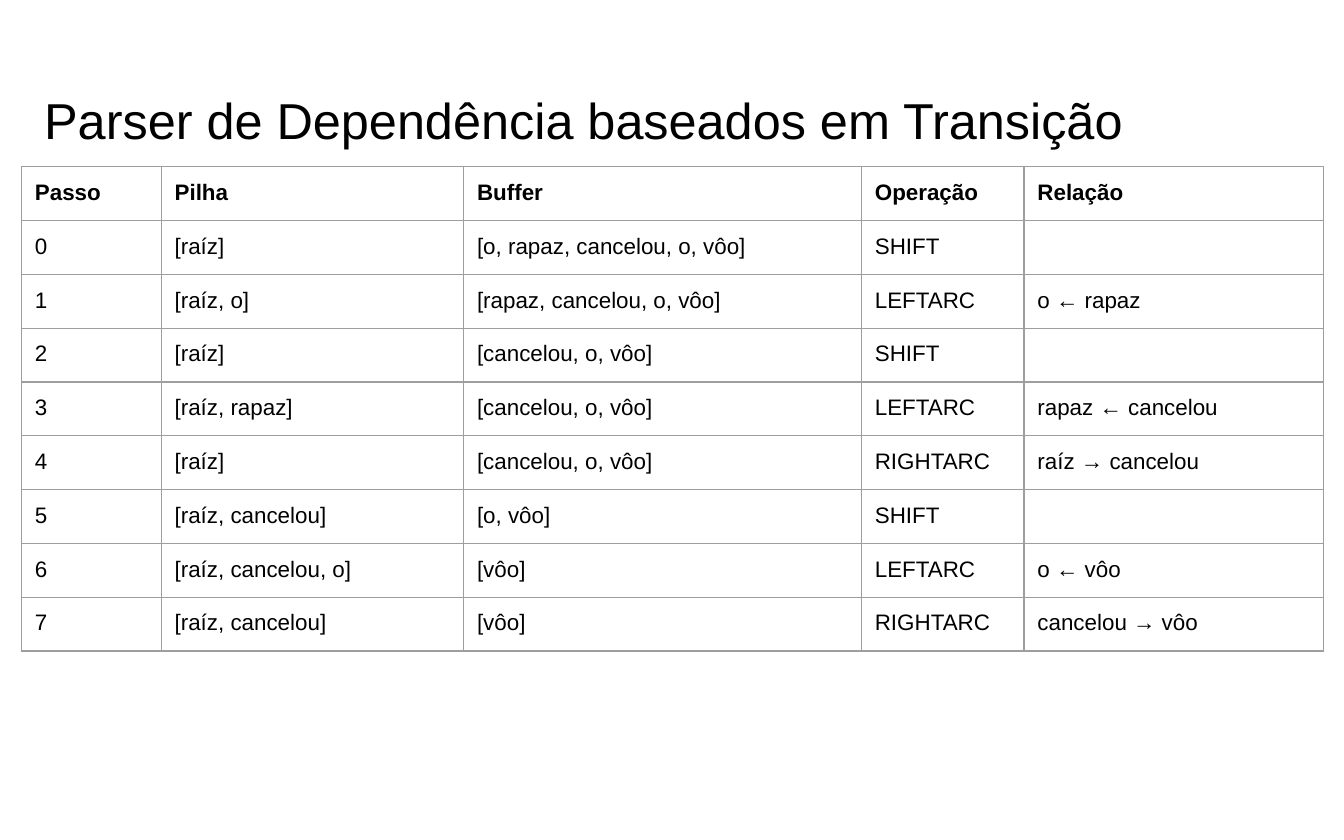
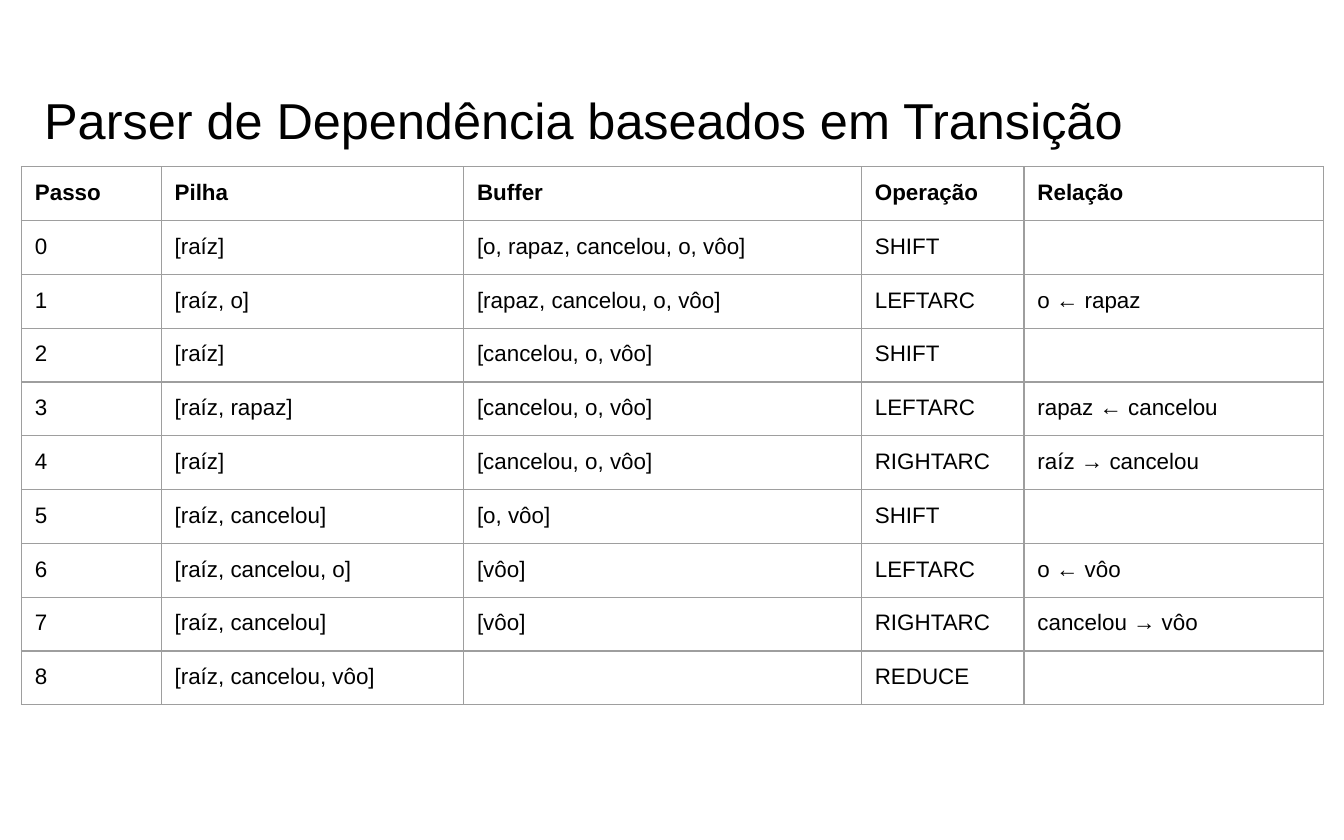
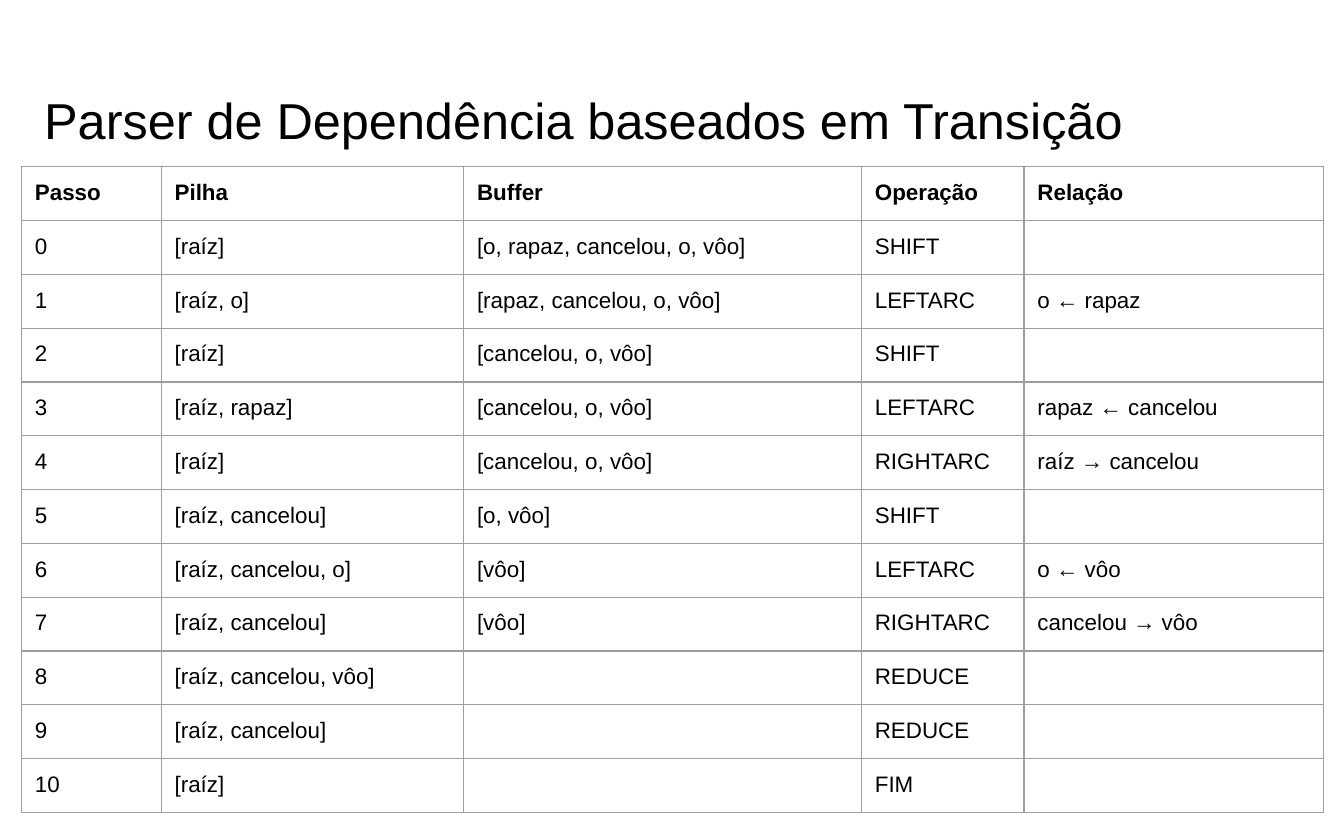
import lxml.etree
import pptx
import pptx.dml.color
import pptx.enum.text
import pptx.oxml.ns
import pptx.util

HUES = {"ink": "000000", "rule": "9E9E9E", "page": "FFFFFF"}
FACE = "Arial"
SIZE = (10, 6.25)
UNIT = 0.1
PAD = pptx.util.Inches(0.1)
PADS = {f"margin_{side}": PAD for side in ("left", "top", "right", "bottom")}
MID = pptx.enum.text.MSO_ANCHOR.MIDDLE

TITLE = "Parser de Dependência baseados em Transição"
HEAD = ("Passo", "Pilha", "Buffer", "Operação", "Relação")
COLS = (10.4, 22.5, 29.6, 12.1, 22.3)
ROW = 2.8
STEPS = (
    ("[raíz]", "[o, rapaz, cancelou, o, vôo]", "SHIFT", ""),
    ("[raíz, o]", "[rapaz, cancelou, o, vôo]", "LEFTARC", "o ← rapaz"),
    ("[raíz]", "[cancelou, o, vôo]", "SHIFT", ""),
    ("[raíz, rapaz]", "[cancelou, o, vôo]", "LEFTARC", "rapaz ← cancelou"),
    ("[raíz]", "[cancelou, o, vôo]", "RIGHTARC", "raíz → cancelou"),
    ("[raíz, cancelou]", "[o, vôo]", "SHIFT", ""),
    ("[raíz, cancelou, o]", "[vôo]", "LEFTARC", "o ← vôo"),
    ("[raíz, cancelou]", "[vôo]", "RIGHTARC", "cancelou → vôo"),
    ("[raíz, cancelou, vôo]", "", "REDUCE", ""),
    ("[raíz, cancelou]", "", "REDUCE", ""),
    ("[raíz]", "", "FIM", ""),
)
COUNTS = (8, 9, 11)
BOXES = {"title": (2.3, 5.4, 93.2, 7), "table": (1.6, 12.4, sum(COLS))}


def span(cells):
    return pptx.util.Inches(cells * UNIT)


def tint(name):
    return pptx.dml.color.RGBColor.from_string(HUES[name])


def apply(item, values):
    for name, value in values.items():
        setattr(item, name, value)


def write(para, text, size, bold=False):
    if text:
        run = para.add_run()
        run.text = text
        apply(run.font, {"name": FACE, "size": pptx.util.Pt(size), "bold": bold})
        run.font.color.rgb = tint("ink")
    else:
        tag = pptx.oxml.ns.qn("a:endParaRPr")
        lxml.etree.SubElement(para._p, tag, sz=str(size * 100))


def edge(cell):
    qn = pptx.oxml.ns.qn
    props = cell._tc.get_or_add_tcPr()
    for side in "LRTB":
        line = lxml.etree.SubElement(
            props, qn(f"a:ln{side}"), w=str(pptx.util.Pt(0.75)))
        fill = lxml.etree.SubElement(line, qn("a:solidFill"))
        lxml.etree.SubElement(fill, qn("a:srgbClr"), val=HUES["rule"])


def title(slide, box):
    frame = slide.shapes.add_textbox(*map(span, box)).text_frame
    apply(frame, {**PADS, "word_wrap": True, "vertical_anchor": MID})
    write(frame.paragraphs[0], TITLE, 27)


def table(slide, box, count):
    steps = [(str(n), *step) for n, step in enumerate(STEPS[:count])]
    lines = [HEAD, *steps]
    left, top, width = box
    grid = slide.shapes.add_table(
        len(lines), len(HEAD), span(left), span(top),
        span(width), span(ROW * len(lines))).table
    apply(grid, {"first_row": False, "horz_banding": False})
    for col, share in zip(grid.columns, COLS):
        col.width = span(width * share / sum(COLS))
    for r, line in enumerate(lines):
        grid.rows[r].height = span(ROW)
        for c, text in enumerate(line):
            cell = grid.cell(r, c)
            apply(cell, PADS)
            edge(cell)
            cell.fill.background()
            write(cell.text_frame.paragraphs[0], text, 12, r == 0)


def page(deck, count):
    slide = deck.slides.add_slide(deck.slide_layouts[6])
    slide.background.fill.solid()
    slide.background.fill.fore_color.rgb = tint("page")
    title(slide, BOXES["title"])
    table(slide, BOXES["table"], count)


def main():
    deck = pptx.Presentation()
    deck.slide_width, deck.slide_height = map(pptx.util.Inches, SIZE)
    for count in COUNTS:
        page(deck, count)
    deck.save("out.pptx")


if __name__ == "__main__":
    main()
